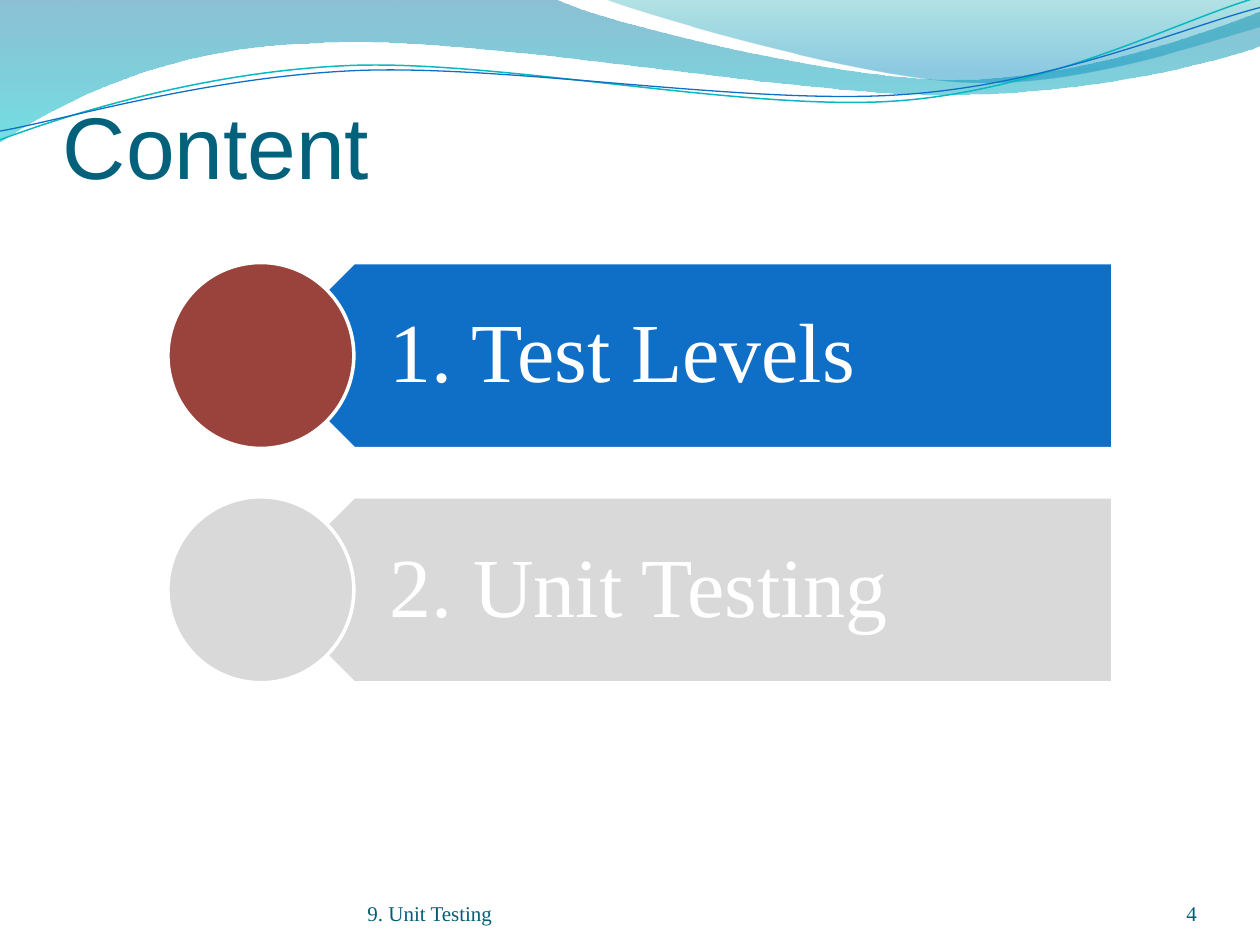
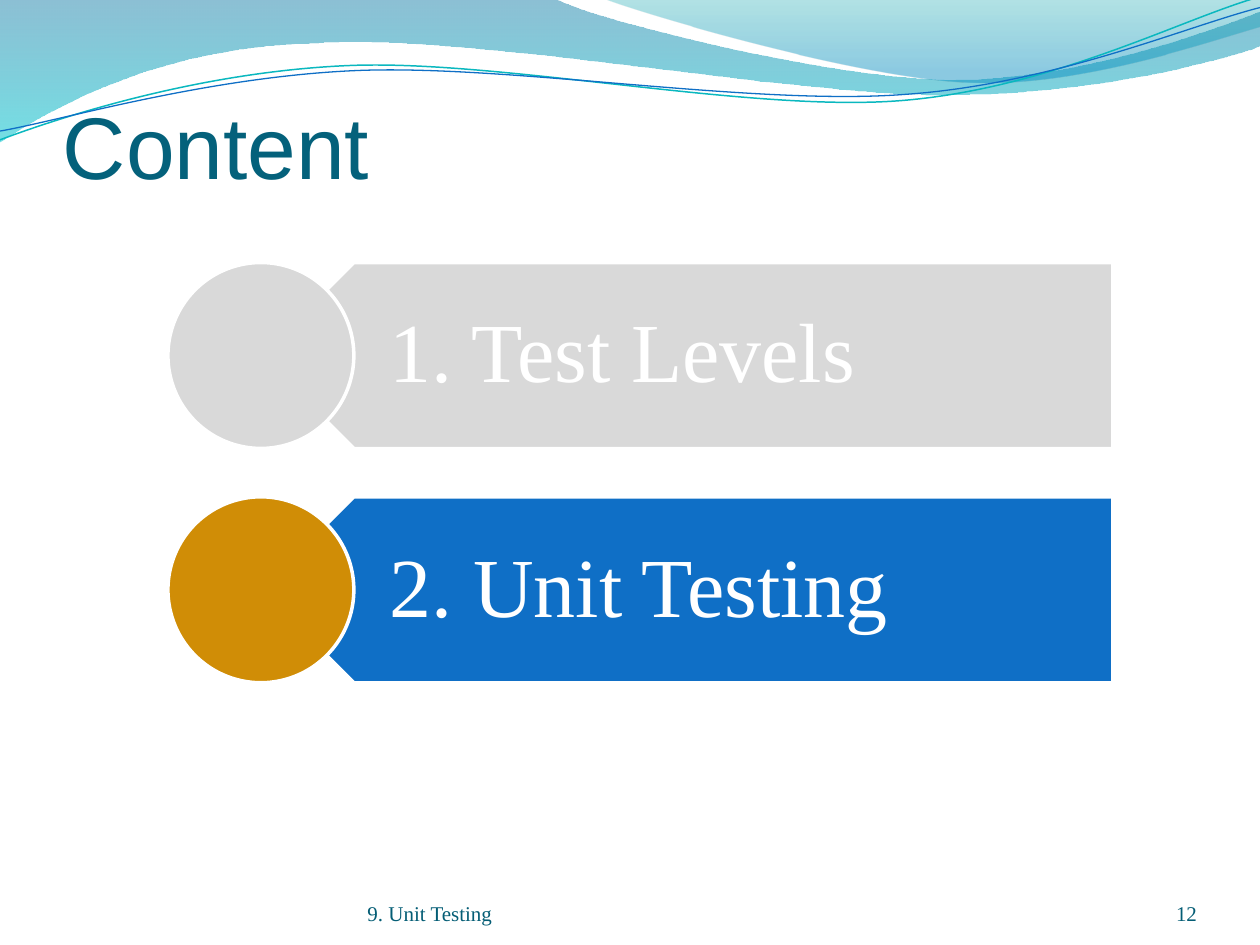
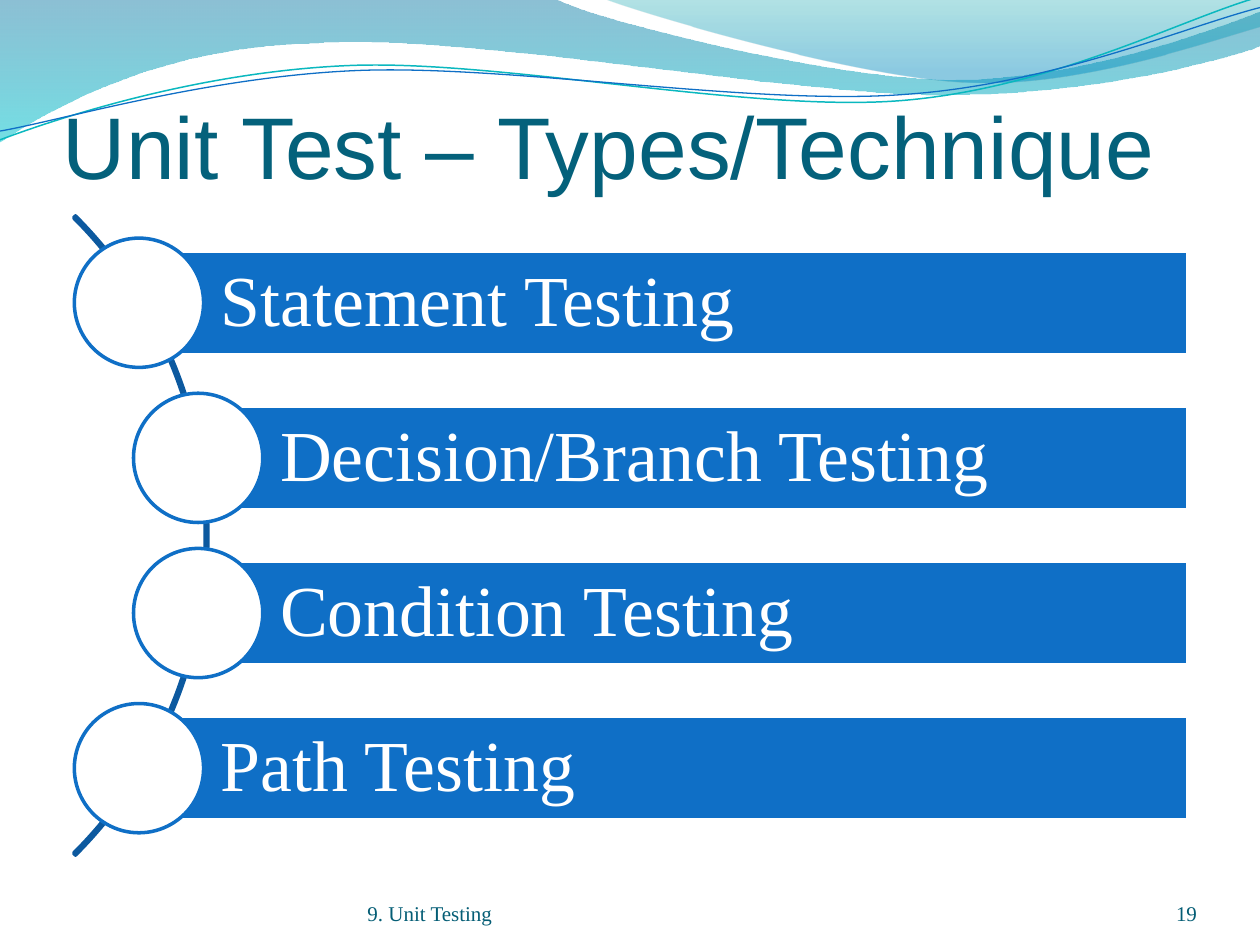
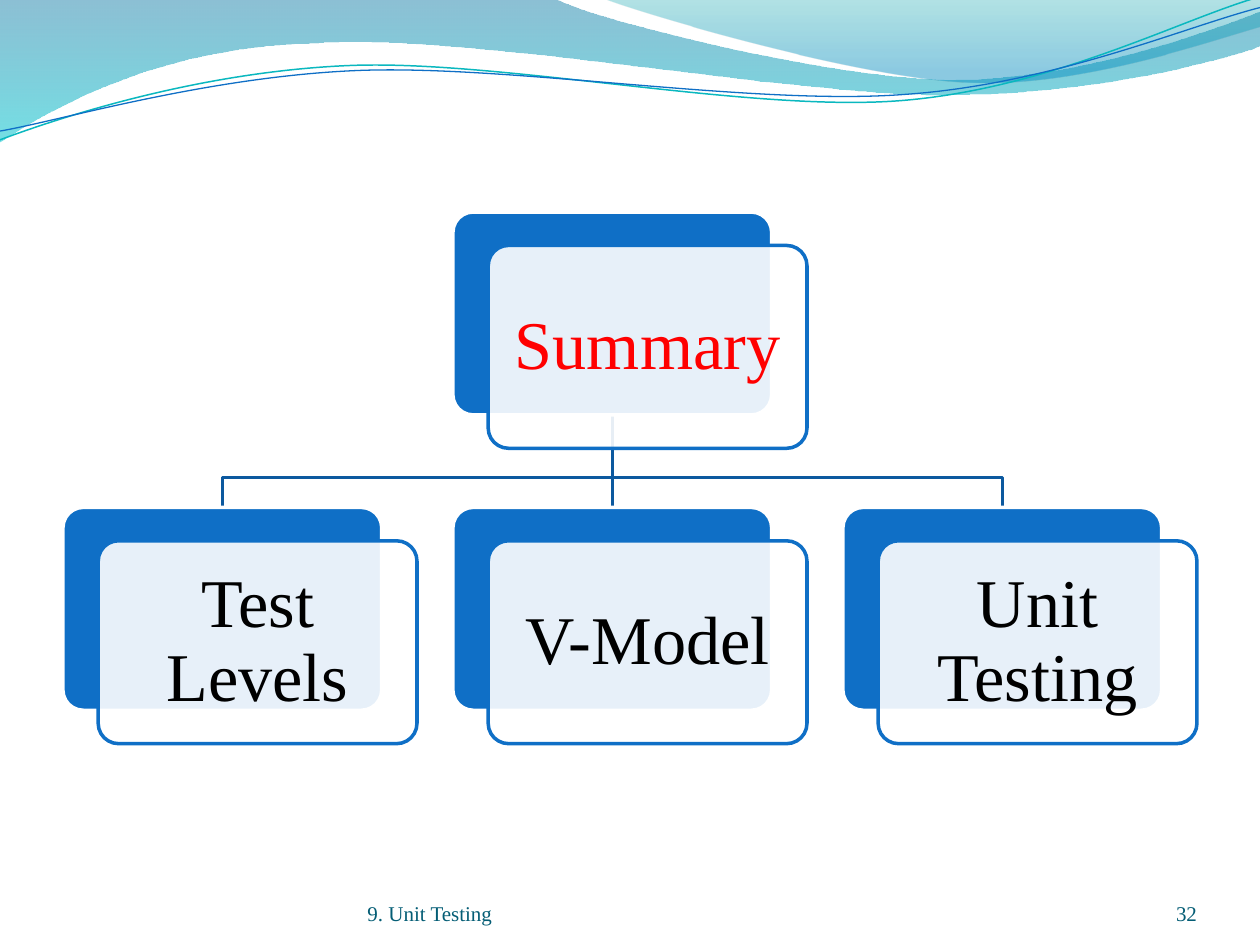
import dataclasses
import math

import lxml.etree
import pptx
import pptx.dml.color
import pptx.enum.shapes
import pptx.enum.text
import pptx.oxml.ns
import pptx.util

RGBColor = pptx.dml.color.RGBColor
Shape = pptx.enum.shapes.MSO_SHAPE
Anchor = pptx.enum.text.MSO_ANCHOR
Align = pptx.enum.text.PP_ALIGN
qn = pptx.oxml.ns.qn

WHITE = RGBColor(0xFF, 0xFF, 0xFF)
BLACK = RGBColor(0x00, 0x00, 0x00)
RED = RGBColor(0xFF, 0x00, 0x00)
BLUE = RGBColor(0x0F, 0x6F, 0xC6)
DARK_BLUE = RGBColor(0x0C, 0x59, 0x9F)
GRAY = RGBColor(0xD9, 0xD9, 0xD9)
BRICK = RGBColor(0x9A, 0x43, 0x3C)
AMBER = RGBColor(0xD0, 0x8D, 0x06)
TITLE_TEAL = RGBColor(0x04, 0x61, 0x7B)
FOOTER_TEAL = RGBColor(0x04, 0x5D, 0x75)
LINE_TEAL = RGBColor(0x0A, 0xB8, 0xBF)
WAVE_BLUE = RGBColor(0x00, 0x74, 0xA1)
WAVE_CYAN = RGBColor(0x00, 0xC6, 0xCF)
CREST_TEAL = RGBColor(0x00, 0xA1, 0xA9)
CREST_BLUE = RGBColor(0x00, 0x8B, 0xBF)

HEADING_FONT = "Arial"
BODY_FONT = "Times New Roman"
FOOTER_TEXT = "9. Unit Testing"
COLUMNS, ROWS = 100, 75
CELL = pptx.util.Inches(0.1)
LINE_TILT = 2.7

WAVE = [
    [(0, 0)], [(44, -0.1)],
    [(47.6, 1.7), (66.4, 6.3), (75.8, 6.3)],
    [(85.3, 6.3), (95.8, 2.6), (100, 0.9)],
    [(100.1, 3.6)],
    [(98.3, 4.4), (87, 7.6), (74.6, 7.5)],
    [(62.2, 7.5), (38.2, 2.8), (25.7, 3.4)],
    [(12.9, 3.6), (4.6, 8.3), (-0.1, 11.3)],
    [(0, 0)],
]
CREST = [
    [(47.9, -0.1)],
    [(50.9, 1.1), (68.2, 6.2), (76.9, 6.5)],
    [(85.6, 6.9), (96.1, 3.2), (100, 2.1)],
    [(100, 0)], [(47.9, -0.1)],
]
TEAL_LINE = [
    [(0, 11.1)],
    [(4.8, 9.3), (15.8, 5.7), (27.7, 5.2)],
    [(39.5, 4.7), (59.3, 8.9), (71.3, 8)],
    [(83.3, 7.1), (93.8, 1.5), (99.8, -0.2)],
]
BLUE_LINE = [
    [(0, 10.4)],
    [(4.7, 9.6), (16.4, 6.1), (28.3, 5.6)],
    [(40.3, 5.1), (59.7, 8.4), (71.7, 7.5)],
    [(83.6, 6.7), (94.1, 2.1), (100, 0.6)],
]


@dataclasses.dataclass
class Box:
    left: float
    top: float
    width: float
    height: float

    def emu(self):
        return [cells(side) for side in (self.left, self.top, self.width, self.height)]

    def shifted(self, right, down):
        return Box(self.left + right, self.top + down, self.width, self.height)

    def inset(self, margin):
        return Box(self.left + margin, self.top + margin,
                   self.width - 2 * margin, self.height - 2 * margin)


TITLE_BOX = Box(5, 6.65, 90, 9)
FOOTER_BOX = Box(29.17, 69.5, 36.7, 4)
NUMBER_BOX = Box(86.7, 69.5, 8.3, 4)
AGENDA_BOX = Box(13.33, 20.84, 75, 33.35)
TECHNIQUE_BOX = Box(5.9, 18.9, 88.35, 47.2)
TREE_BOX = Box(5, 16.83, 90, 42.2)


def cells(count):
    return round(count * CELL)


def set_opacity(shape, percents):
    for color, percent in zip(shape.element.iter(qn("a:srgbClr")), percents):
        lxml.etree.SubElement(color, qn("a:alpha")).set("val", str(percent * 1000))


def set_line(shape, color, width=2):
    shape.line.color.rgb = color
    shape.line.width = pptx.util.Pt(width)


def add_figure(page, kind, box, fill, line):
    shape = page.shapes.add_shape(kind, *box.emu())
    shape.shadow.inherit = False
    if fill is None:
        shape.fill.background()
    else:
        shape.fill.solid()
        shape.fill.fore_color.rgb = fill
    set_line(shape, line)
    return shape


def add_text(page, box, text, size, color, font=BODY_FONT, anchor=Anchor.MIDDLE,
             align=Align.LEFT, insets=(0, 0, 0, 0), spacing=0.9):
    frame = page.shapes.add_textbox(*box.emu()).text_frame
    frame.word_wrap = True
    frame.vertical_anchor = anchor
    (frame.margin_left, frame.margin_top,
     frame.margin_right, frame.margin_bottom) = [cells(inset) for inset in insets]
    para = frame.paragraphs[0]
    para.text = text
    para.alignment = align
    para.line_spacing = spacing
    para.font.name = font
    para.font.size = pptx.util.Pt(size)
    para.font.color.rgb = color


def turn(outline, center, degrees):
    cosine, sine = math.cos(math.radians(degrees)), math.sin(math.radians(degrees))
    center_x, center_y = center
    return [[(center_x + (x - center_x) * cosine - (y - center_y) * sine,
              center_y + (x - center_x) * sine + (y - center_y) * cosine)
             for x, y in segment] for segment in outline]


def bend_segments(shape, segments):
    lines = iter(list(shape.element.iter(qn("a:lnTo"))))
    for segment in segments:
        first, *others = [next(lines) for _ in segment]
        if others:
            curve = lxml.etree.Element(qn("a:cubicBezTo"))
            first.addprevious(curve)
            for line in (first, *others):
                curve.append(line[0])
                line.getparent().remove(line)


def add_outline(page, outline, close):
    start, *rest = [(cells(x), cells(y)) for segment in outline for x, y in segment]
    builder = page.shapes.build_freeform(*start)
    builder.add_line_segments(rest, close=close)
    shape = builder.convert_to_shape()
    shape.shadow.inherit = False
    bend_segments(shape, outline[1:])
    return shape


def add_wave(page, outline, stops):
    shape = add_outline(page, outline, True)
    shape.line.fill.background()
    shape.fill.gradient()
    shape.fill.gradient_angle = 270
    for stop, (position, color, _) in zip(shape.fill.gradient_stops, stops):
        stop.position = position
        stop.color.rgb = color
    set_opacity(shape, [opacity for _, _, opacity in stops])


def add_open_line(page, outline, color, width=2):
    shape = add_outline(page, outline, False)
    shape.fill.background()
    set_line(shape, color, width)
    return shape


def add_tilted_line(page, outline, center, color, width):
    tilted = turn(outline, center, LINE_TILT)
    add_open_line(page, tilted, color, width).rotation = 360 - LINE_TILT


def add_page(deck, number, title=None):
    page = deck.slides.add_slide(deck.slide_layouts[6])
    add_wave(page, WAVE, [(0, WAVE_BLUE, 45), (1, WAVE_CYAN, 55)])
    add_wave(page, CREST, [(0, CREST_TEAL, 30), (0.8, CREST_BLUE, 45)])
    add_tilted_line(page, TEAL_LINE, (49.9, 5.75), LINE_TEAL, 0.85)
    add_tilted_line(page, BLUE_LINE, (49.95, 5.9), BLUE, 0.75)
    if title:
        add_text(page, TITLE_BOX, title, 50, TITLE_TEAL, HEADING_FONT,
                 Anchor.BOTTOM, insets=(0, 0.5, 0, 0), spacing=1)
    for box, text, align in ((FOOTER_BOX, FOOTER_TEXT, Align.LEFT),
                             (NUMBER_BOX, str(number), Align.RIGHT)):
        add_text(page, box, text, 12, FOOTER_TEAL, anchor=Anchor.BOTTOM,
                 align=align, spacing=1)
    return page


def add_agenda(page, box, topics, current, accent):
    size = box.height / 2.26
    for index, topic in enumerate(topics):
        top = box.top + index * size * 1.26
        active = index == current
        banner = Box(box.left + size / 2, top, box.width - size / 2, size)
        label = Box(box.left + size * 0.75, top, box.width - size * 0.75, size)
        add_figure(page, Shape.PENTAGON, banner, BLUE if active else GRAY, WHITE).rotation = 180
        add_text(page, label, topic, 48, WHITE, insets=(6.5, 2, 3.7, 2))
        add_figure(page, Shape.OVAL, Box(box.left, top, size, size),
                   accent if active else GRAY, WHITE)


def add_techniques(page, box, techniques):
    size = box.height / (1.2 * len(techniques) - 0.2)
    side = box.height * 1.52
    arc_box = Box(box.left + 10.6 - side, box.top + (box.height - side) / 2, side, side)
    arc = add_figure(page, Shape.BLOCK_ARC, arc_box, None, DARK_BLUE)
    for index, value in enumerate((189, 27, 0.003)):
        arc.adjustments[index] = value
    for index, technique in enumerate(techniques):
        indent = 0 if index in (0, len(techniques) - 1) else 4.7
        circle = Box(box.left + indent, box.top + index * size * 1.2, size, size)
        bar = Box(circle.left + size / 2, circle.top + size * 0.1,
                  box.width - indent - size / 2, size * 0.8)
        add_figure(page, Shape.RECTANGLE, bar, BLUE, WHITE)
        add_text(page, bar, technique, 41, WHITE, insets=(6.5, 1.1, 1.1, 1.1))
        add_figure(page, Shape.OVAL, circle, WHITE, BLUE)


def add_card(page, back, text, color):
    front = back.shifted(2.8, 2.65)
    for box, fill, line in ((back, BLUE, WHITE), (front, WHITE, BLUE)):
        card = add_figure(page, Shape.ROUNDED_RECTANGLE, box, fill, line)
        card.adjustments[0] = 0.1
    set_opacity(card, [90])
    add_text(page, front.inset(0.45), text, 39, color, align=Align.CENTER,
             insets=(1.6, 1.6, 1.6, 1.6))


def widen_frame(shape, width):
    shape.left -= width // 2
    shape.width = width
    for frame in shape.element.iter(qn("a:path")):
        frame.set("w", str(width))
        for point in frame.iter(qn("a:pt")):
            point.set("x", str(width // 2))


def add_branch(page, start_x, start_y, end_x, end_y):
    if start_x == end_x:
        trunk = add_open_line(page, [[(start_x, start_y)], [(end_x, end_y)]], DARK_BLUE)
        widen_frame(trunk, cells(1))
        return
    bend = start_y + (end_y - start_y) * 0.68
    add_open_line(page, [[(start_x, start_y)], [(start_x, bend)],
                         [(end_x, bend)], [(end_x, end_y)]], DARK_BLUE)


def add_tree(page, box, root, leaves):
    width, height = 25.3, 16.1
    gap = (box.width - 2.8 - width) / (len(leaves) - 1)
    root_card = Box(box.left + gap, box.top, width, height)
    leaf_cards = [Box(box.left + index * gap, box.top + 23.44, width, height)
                  for index in range(len(leaves))]
    for card in reversed(leaf_cards):
        add_branch(page, root_card.left + width / 2, root_card.top + height,
                   card.left + width / 2, card.top)
    add_card(page, root_card, root, RED)
    for card, leaf in zip(leaf_cards, leaves):
        add_card(page, card, leaf, BLACK)


def main():
    deck = pptx.Presentation()
    deck.slide_width = cells(COLUMNS)
    deck.slide_height = cells(ROWS)

    topics = ["1. Test Levels", "2. Unit Testing"]
    for current, (number, accent) in enumerate([(4, BRICK), (12, AMBER)]):
        add_agenda(add_page(deck, number, "Content"), AGENDA_BOX, topics, current, accent)

    add_techniques(
        add_page(deck, 19, "Unit Test – Types/Technique"), TECHNIQUE_BOX,
        ["Statement Testing", "Decision/Branch Testing", "Condition Testing", "Path Testing"])

    add_tree(add_page(deck, 32), TREE_BOX, "Summary",
             ["Test Levels", "V-Model", "Unit Testing"])

    deck.save("out.pptx")


if __name__ == "__main__":
    main()
